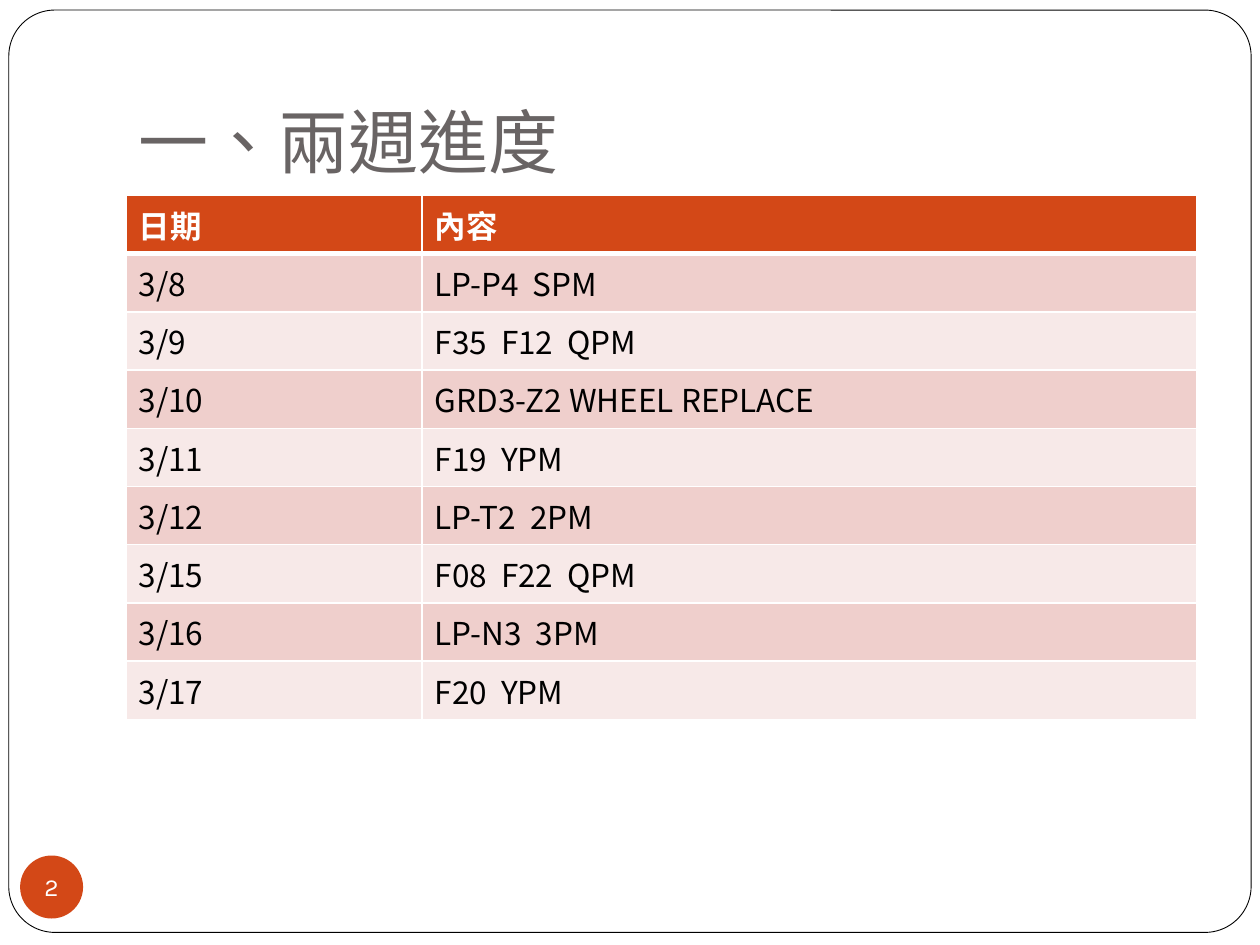
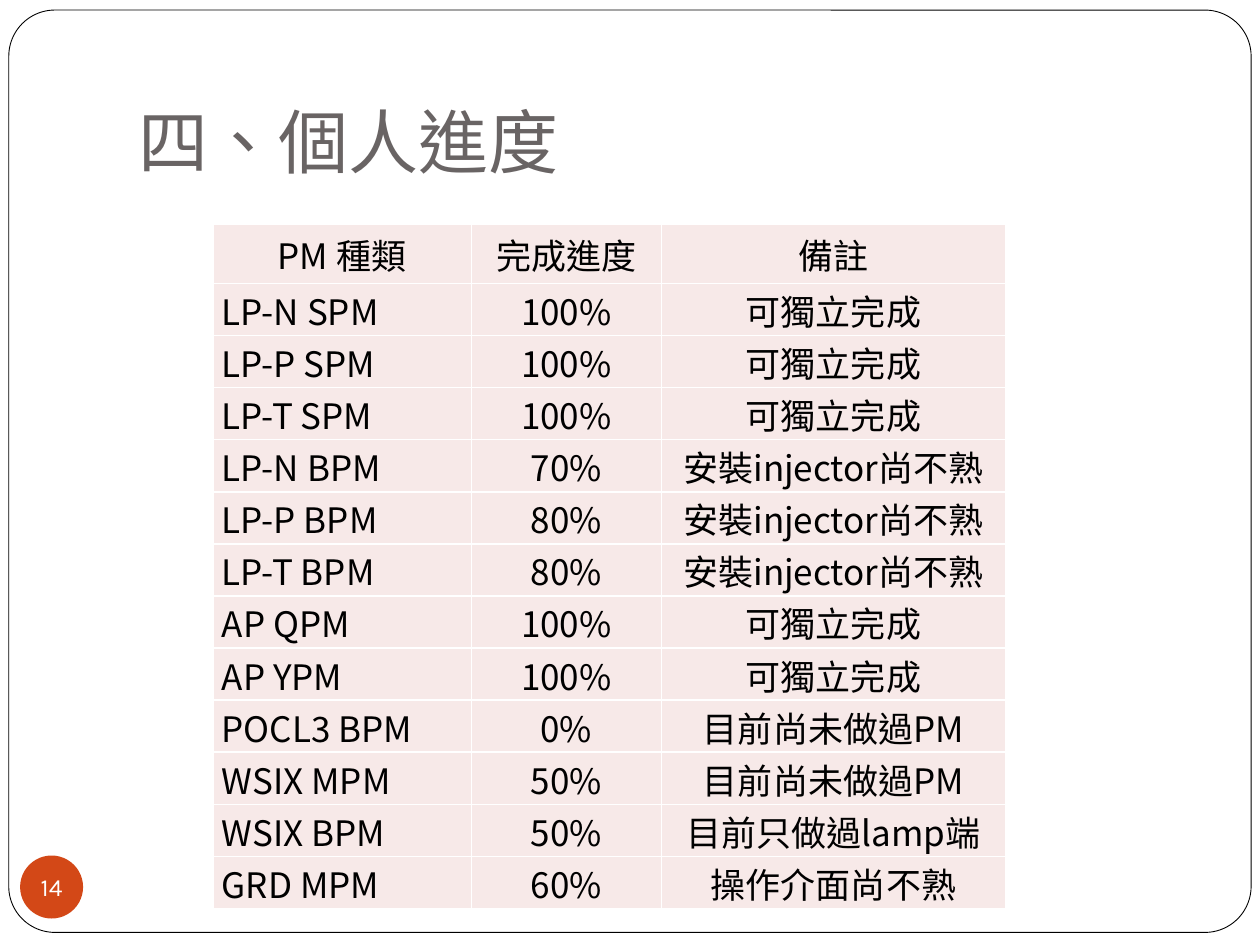
import lxml.etree
import pptx
import pptx.dml.color
import pptx.enum.lang
import pptx.enum.shapes
import pptx.enum.text
import pptx.oxml
import pptx.oxml.ns
import pptx.util

EMU_PER_PX = 9144  # 100 px to the inch
ORANGE, GRAY, BLACK, WHITE = "D34817", "696464", "000000", "FFFFFF"
DARK_BAND, LIGHT_BAND = "EFCFCC", "F7E9E8"
DISPLAY_FONT, TABLE_FONT = "Karla", "Noto Sans CJK SC"
LEFT = pptx.enum.text.PP_ALIGN.LEFT
CENTER = pptx.enum.text.PP_ALIGN.CENTER
TOP = pptx.enum.text.MSO_ANCHOR.TOP
MIDDLE = pptx.enum.text.MSO_ANCHOR.MIDDLE
BOTTOM = pptx.enum.text.MSO_ANCHOR.BOTTOM
SHAPES = pptx.enum.shapes.MSO_SHAPE

FRAME_BOX = (7, 8, 986, 732)
TITLE_BOX = (100, 30, 850, 125)
BADGE_BOX = (16, 679, 50, 50)

SCHEDULE = [
    ("日期", "內容"),
    ("3/8", "LP-P4  SPM"),
    ("3/9", "F35  F12  QPM"),
    ("3/10", "GRD3-Z2 WHEEL REPLACE"),
    ("3/11", "F19  YPM"),
    ("3/12", "LP-T2  2PM"),
    ("3/15", "F08  F22  QPM"),
    ("3/16", "LP-N3  3PM"),
    ("3/17", "F20  YPM"),
]

DONE_ALONE = "可獨立完成"
INJECTOR_UNFAMILIAR = "安裝injector尚不熟"
NOT_YET_DONE = "目前尚未做過PM"
PROGRESS = [
    ("PM 種類", "完成進度", "備註"),
    ("LP-N SPM", "100%", DONE_ALONE),
    ("LP-P SPM", "100%", DONE_ALONE),
    ("LP-T SPM", "100%", DONE_ALONE),
    ("LP-N BPM", "70%", INJECTOR_UNFAMILIAR),
    ("LP-P BPM", "80%", INJECTOR_UNFAMILIAR),
    ("LP-T BPM", "80%", INJECTOR_UNFAMILIAR),
    ("AP QPM", "100%", DONE_ALONE),
    ("AP YPM", "100%", DONE_ALONE),
    ("POCL3 BPM", "0%", NOT_YET_DONE),
    ("WSIX MPM", "50%", NOT_YET_DONE),
    ("WSIX BPM", "50%", "目前只做過lamp端"),
    ("GRD MPM", "60%", "操作介面尚不熟"),
]


def px(length):
    return pptx.util.Emu(length * EMU_PER_PX)


def color(value):
    return pptx.dml.color.RGBColor.from_string(value)


def paint(fill, value):
    fill.solid()
    fill.fore_color.rgb = color(value)


def set_margins(holder, left, top, right, bottom):
    """Set the insets of a text frame or a table cell."""
    holder.margin_left, holder.margin_top = px(left), px(top)
    holder.margin_right, holder.margin_bottom = px(right), px(bottom)


def write(text_frame, text, font_name, size, text_color, align=LEFT, bold=False):
    text_frame.text = text
    paragraph = text_frame.paragraphs[0]
    paragraph.alignment = align
    font = paragraph.font
    font.name, font.size, font.bold = font_name, pptx.util.Pt(size), bold
    font.color.rgb = color(text_color)
    font.language_id = pptx.enum.lang.MSO_LANGUAGE_ID.TRADITIONAL_CHINESE


def add_frame(slide, box):
    frame = slide.shapes.add_shape(SHAPES.ROUNDED_RECTANGLE, *map(px, box))
    frame.shadow.inherit = False
    frame.adjustments[0] = 0.05
    paint(frame.fill, WHITE)
    frame.line.color.rgb = color(BLACK)
    frame.line.width = pptx.util.Pt(0.5)
    slide.shapes.element.insert(2, frame.element)  # behind the title


def place_title(slide, box, text):
    title = slide.shapes.title
    title.left, title.top, title.width, title.height = map(px, box)
    title.text_frame.vertical_anchor = BOTTOM
    set_margins(title.text_frame, 10, 5, 10, 10)
    write(title.text_frame, text, DISPLAY_FONT, 40, GRAY)


def add_number_badge(slide, box, number):
    badge = slide.shapes.add_shape(SHAPES.OVAL, *map(px, box))
    badge.shadow.inherit = False
    paint(badge.fill, ORANGE)
    badge.line.fill.background()
    badge.text_frame.word_wrap = False
    badge.text_frame.vertical_anchor = MIDDLE
    set_margins(badge.text_frame, 0, 0, 0, 0)
    write(badge.text_frame, str(number), DISPLAY_FONT, 14, WHITE, CENTER)


def add_borders(cell, top=1, bottom=1):
    """Draw white cell borders; top and bottom widths are in points."""
    properties = cell._tc.get_or_add_tcPr()
    for edge, points in (("lnL", 1), ("lnR", 1), ("lnT", top), ("lnB", bottom)):
        properties.append(pptx.oxml.parse_xml(
            f'<a:{edge} {pptx.oxml.ns.nsdecls("a")} w="{pptx.util.Pt(points)}">'
            f'<a:solidFill><a:srgbClr val="{WHITE}"/></a:solidFill></a:{edge}>'))


def add_grid(slide, left, top, column_widths, row_heights):
    box = (left, top, sum(column_widths), sum(row_heights))
    table = slide.shapes.add_table(
        len(row_heights), len(column_widths), *map(px, box)).table
    table.horz_banding = False
    for column, width in zip(table.columns, column_widths):
        column.width = px(width)
    for row, height in zip(table.rows, row_heights):
        row.height = px(height)
    return table


def add_schedule_table(slide, left, top):
    table = add_grid(slide, left, top, (235, 615), [42] * len(SCHEDULE))
    for row, texts in enumerate(SCHEDULE):
        is_header = row == 0
        band = ORANGE if is_header else DARK_BAND if row % 2 else LIGHT_BAND
        for column, text in enumerate(texts):
            cell = table.cell(row, column)
            add_borders(cell, 3 if row == 1 else 1, 3 if is_header else 1)
            paint(cell.fill, band)
            cell.vertical_anchor = TOP
            set_margins(cell, 10, 5, 10, 5)
            write(cell.text_frame, text, TABLE_FONT, 18,
                  WHITE if is_header else BLACK, bold=is_header)


def add_progress_table(slide, left, top):
    heights = [47] + [34] * (len(PROGRESS) - 1)
    table = add_grid(slide, left, top, (205, 151, 273), heights)
    table.first_row = False
    for row, texts in enumerate(PROGRESS):
        for column, text in enumerate(texts):
            is_name = row > 0 and column == 0
            cell = table.cell(row, column)
            add_borders(cell)
            paint(cell.fill, LIGHT_BAND)
            cell.vertical_anchor = MIDDLE
            set_margins(cell, 7 if is_name else 1, 1, 1, 0)
            write(cell.text_frame, text, TABLE_FONT, 20, BLACK,
                  LEFT if is_name else CENTER)


def add_report_slide(presentation, title, number):
    slide = presentation.slides.add_slide(presentation.slide_layouts[5])
    add_frame(slide, FRAME_BOX)
    place_title(slide, TITLE_BOX, title)
    add_number_badge(slide, BADGE_BOX, number)
    return slide


def main():
    presentation = pptx.Presentation()
    presentation.slide_width, presentation.slide_height = px(1000), px(750)
    add_schedule_table(add_report_slide(presentation, "一、兩週進度", 2), 100, 155)
    add_progress_table(add_report_slide(presentation, "四、個人進度", 14), 169, 178)
    presentation.save("out.pptx")


if __name__ == "__main__":
    main()
